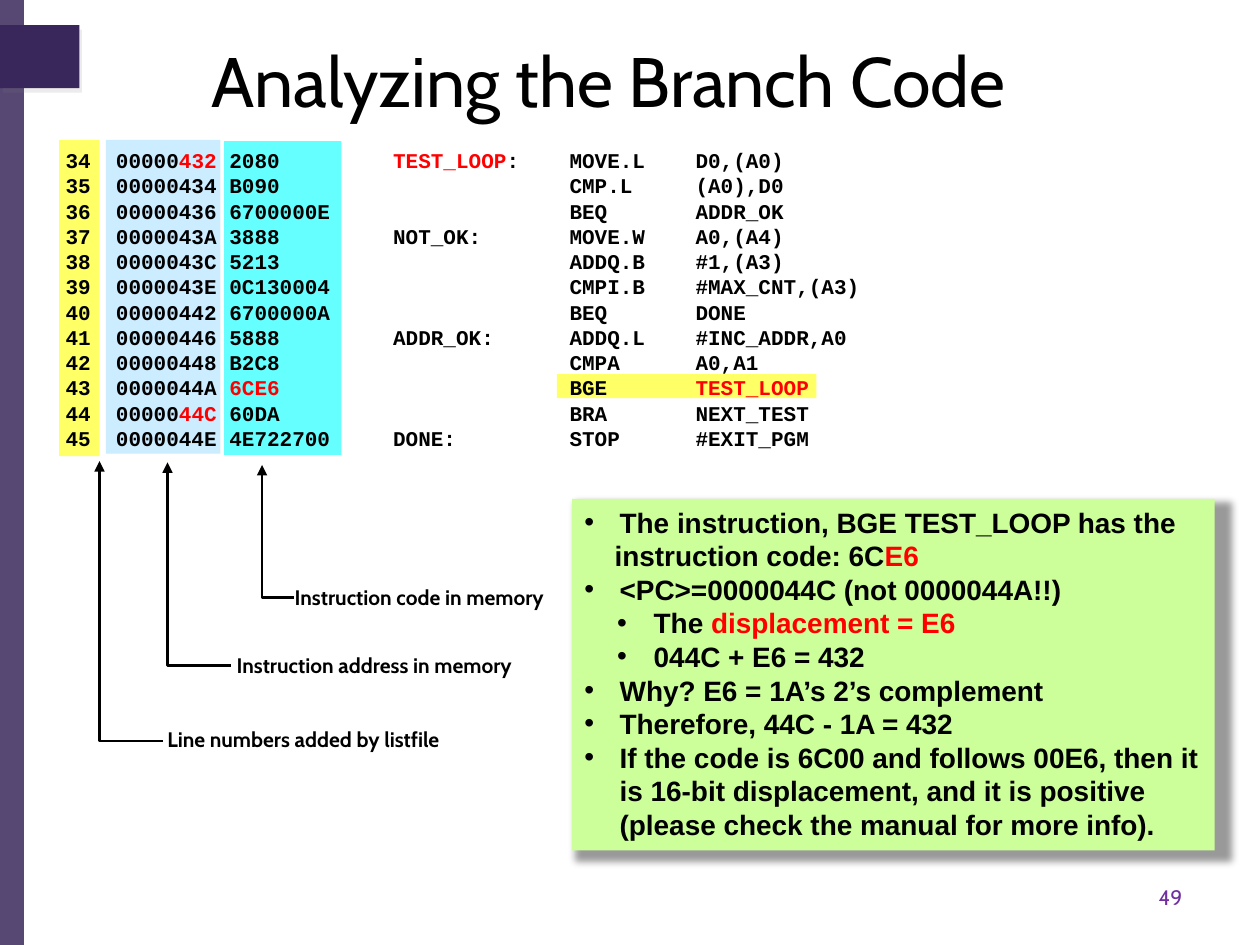
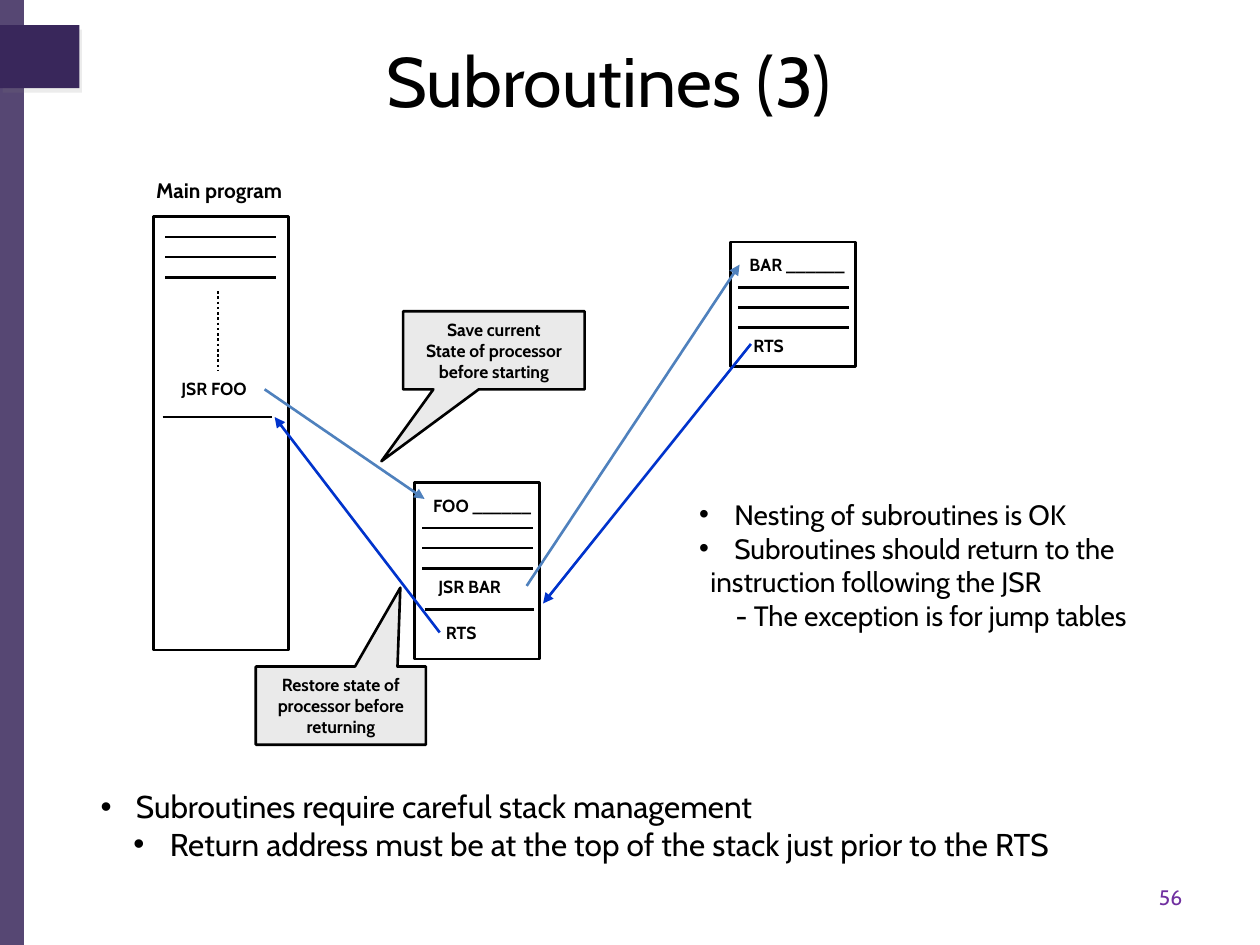
from dataclasses import dataclass
from typing import NamedTuple, Optional

from lxml.etree import SubElement
from pptx import Presentation
from pptx.dml.color import RGBColor
from pptx.enum.dml import MSO_LINE_DASH_STYLE as Dash
from pptx.enum.shapes import MSO_CONNECTOR as Connector
from pptx.enum.shapes import MSO_SHAPE as Preset
from pptx.enum.text import MSO_ANCHOR as Anchor
from pptx.enum.text import MSO_AUTO_SIZE as AutoSize
from pptx.enum.text import PP_ALIGN as Align
from pptx.oxml.ns import qn
from pptx.util import Emu, Pt

EMU_PER_PX = 9144
STROKE = Pt(1.5)
COLORS = {
    "purple": "39275B", "number": "7030A0", "black": "000000", "red": "FF0000",
    "yellow": "FFFF66", "pale blue": "CCECFF", "cyan": "66FFFF", "green": "CCFF99",
    "gray": "EAEAEA", "shadow": "808080", "call": "4F81BD", "return": "0033CC",
}


class Box(NamedTuple):
    left: int
    top: int
    width: int
    height: int


class Style(NamedTuple):
    size: int
    font: str = "Cabin"
    bold: bool = False
    color: str = "black"
    align: Align = Align.LEFT


class Shadow(NamedTuple):
    color: str
    opacity: int
    blur: int
    distance: int
    angle: int
    scale: int = 100


@dataclass(frozen=True)
class Line:
    text: str
    bullet: bool = False
    margin: int = 0
    hang: int = 0


@dataclass(frozen=True)
class Label:
    text: str
    box: Box


@dataclass(frozen=True)
class Pointer:
    tip_x: int
    tip_y: int
    depth: int
    reach: int
    label: Label


@dataclass(frozen=True)
class Stroke:
    x1: int
    y1: int
    x2: int
    y2: int
    color: str = "black"
    arrow: bool = False
    dash: Optional[Dash] = None


@dataclass(frozen=True)
class Callout:
    box: Box
    tip: tuple[float, float]
    lines: tuple[str, ...]


TITLE = Style(40, align=Align.CENTER)
NUMBER = Style(12, color="number", align=Align.CENTER)
CAPTION = Style(12, bold=True)
SMALL = Style(10, bold=True)
CALLOUT = Style(10, bold=True, align=Align.CENTER)
CODE = Style(12, "Courier New", True)
CODE_COLUMNS = (40, 90, 130, 140, 100, 155)
CODE_ROW = 20

LISTING = (
    "34\t00000|432|\t2080\t|TEST_LOOP|:\tMOVE.L\tD0,(A0)",
    "35\t00000434\tB090\t\tCMP.L\t(A0),D0",
    "36\t00000436\t6700000E\t\tBEQ\tADDR_OK",
    "37\t0000043A\t3888\tNOT_OK:\tMOVE.W\tA0,(A4)",
    "38\t0000043C\t5213\t\tADDQ.B\t#1,(A3)",
    "39\t0000043E\t0C130004\t\tCMPI.B\t#MAX_CNT,(A3)",
    "40\t00000442\t6700000A\t\tBEQ\tDONE",
    "41\t00000446\t5888\tADDR_OK:\tADDQ.L\t#INC_ADDR,A0",
    "42\t00000448\tB2C8\t\tCMPA\tA0,A1",
    "43\t0000044A\t|6CE6|\t\tBGE\t|TEST_LOOP|",
    "44\t00000|44C|\t60DA\t\tBRA\tNEXT_TEST",
    "45\t0000044E\t4E722700\tDONE:\tSTOP\t#EXIT_PGM",
)


def px(length: int) -> Emu:
    return Emu(length * EMU_PER_PX)


def rgb(name: str) -> RGBColor:
    return RGBColor.from_string(COLORS[name])


def bullet(text: str) -> Line:
    return Line(text, True, 28, 28)


def sub_bullet(text: str) -> Line:
    return Line(text, True, 55, 29)


def fill_para(para, line: Line, style: Style) -> None:
    para.alignment = style.align
    props = para._p.get_or_add_pPr()
    props.set("marL", str(px(line.margin)))
    props.set("indent", str(-px(line.hang)))
    if line.bullet:
        SubElement(props, qn("a:buFont"), typeface="Arial")
        SubElement(props, qn("a:buChar"), char="•")
    font = para.font
    font.name, font.size, font.bold = style.font, Pt(style.size), style.bold
    font.color.rgb = rgb(style.color)
    for number, part in enumerate(line.text.split("|")):
        if part:
            span = para.add_run()
            span.text = part
            if number % 2:
                span.font.color.rgb = rgb("red")
    if not line.text:
        SubElement(para._p, qn("a:endParaRPr"), sz=str(style.size * 100))


def write(shape, lines, style: Style, wrap=True, anchor=Anchor.TOP) -> None:
    frame = shape.text_frame
    frame.word_wrap = wrap
    frame.auto_size = AutoSize.NONE if wrap else AutoSize.SHAPE_TO_FIT_TEXT
    frame.vertical_anchor = anchor
    for index, line in enumerate(lines):
        para = frame.add_paragraph() if index else frame.paragraphs[0]
        fill_para(para, line, style)


def add_text(page, box: Box, lines, style: Style, **options) -> None:
    write(page.shapes.add_textbox(*map(px, box)), lines, style, **options)


def add_label(page, label: Label, style: Style) -> None:
    add_text(page, label.box, [Line(label.text)], style, wrap=False)


def add_listing(page, left: int, top: int) -> None:
    box = Box(left, top, sum(CODE_COLUMNS), CODE_ROW * len(LISTING))
    table = page.shapes.add_table(len(LISTING), len(CODE_COLUMNS), *map(px, box)).table
    table.first_row = table.horz_banding = False
    for column, width in zip(table.columns, CODE_COLUMNS):
        column.width = px(width)
    for row, source in zip(table.rows, LISTING):
        row.height = px(CODE_ROW)
        for cell, text in zip(row.cells, source.split("\t")):
            cell.margin_left = cell.margin_right = cell.margin_top = cell.margin_bottom = 0
            for side in ("lnL", "lnR", "lnT", "lnB"):
                border = SubElement(cell._tc.get_or_add_tcPr(), qn(f"a:{side}"), w="0")
                SubElement(border, qn("a:noFill"))
            cell.fill.background()
            fill_para(cell.text_frame.paragraphs[0], Line(text), CODE)


def add_block(page, box: Box, fill="", outlined=False, preset=Preset.RECTANGLE):
    shape = page.shapes.add_shape(preset, *map(px, box))
    shape.shadow.inherit = False
    if fill:
        shape.fill.solid()
        shape.fill.fore_color.rgb = rgb(fill)
    else:
        shape.fill.background()
    if outlined:
        shape.line.color.rgb = rgb("black")
        shape.line.width = STROKE
    else:
        shape.line.fill.background()
    return shape


def add_alpha(color, percent: int) -> None:
    SubElement(color, qn("a:alpha"), val=str(percent * 1000))


def cast_shadow(shape, shadow: Shadow) -> None:
    effects = shape._element.spPr.find(qn("a:effectLst"))
    scale = str(shadow.scale * 1000)
    outer = SubElement(
        effects, qn("a:outerShdw"), blurRad=str(Pt(shadow.blur)),
        dist=str(Pt(shadow.distance)), dir=str(shadow.angle * 60000),
        sx=scale, sy=scale, algn="tl", rotWithShape="0")
    add_alpha(SubElement(outer, qn("a:srgbClr"), val=COLORS[shadow.color]), shadow.opacity)


def add_arrowhead(line, end: str) -> None:
    SubElement(line._get_or_add_ln(), qn(f"a:{end}"), type="triangle")


def add_stroke(page, stroke: Stroke) -> None:
    ends = map(px, (stroke.x1, stroke.y1, stroke.x2, stroke.y2))
    connector = page.shapes.add_connector(Connector.STRAIGHT, *ends)
    connector.line.color.rgb = rgb(stroke.color)
    connector.line.width = STROKE
    if stroke.dash:
        connector.line.dash_style = stroke.dash
    if stroke.arrow:
        add_arrowhead(connector.line, "tailEnd")
    SubElement(connector._element.spPr, qn("a:effectLst"))


def add_pointer(page, pointer: Pointer) -> None:
    x, y = pointer.tip_x, pointer.tip_y
    corner = y + pointer.depth
    builder = page.shapes.build_freeform(x, y, scale=EMU_PER_PX)
    builder.add_line_segments([(x, corner), (x + pointer.reach, corner)], close=False)
    elbow = builder.convert_to_shape()
    elbow.shadow.inherit = False
    elbow.fill.background()
    elbow.line.color.rgb = rgb("black")
    elbow.line.width = STROKE
    add_arrowhead(elbow.line, "headEnd")
    add_label(page, pointer.label, CAPTION)


def add_callout(page, callout: Callout) -> None:
    shape = add_block(page, callout.box, "gray", True, Preset.RECTANGULAR_CALLOUT)
    shape.adjustments[0], shape.adjustments[1] = callout.tip
    write(shape, map(Line, callout.lines), CALLOUT, anchor=Anchor.MIDDLE)


def add_page(deck, title: str, number: int):
    page = deck.slides.add_slide(deck.slide_layouts[6])
    band = add_block(page, Box(0, 0, 19, 750), "purple")
    add_alpha(band._element.spPr.find(qn("a:solidFill"))[0], 85)
    tab = add_block(page, Box(0, 20, 63, 50), "purple")
    cast_shadow(tab, Shadow("shadow", 15, 0, 3, 60))
    add_text(page, Box(875, 697, 108, 30), [Line(str(number))], NUMBER)
    add_text(page, Box(33, 17, 900, 92), [Line(title)], TITLE, anchor=Anchor.MIDDLE)
    return page


def build_branch_page(deck) -> None:
    page = add_page(deck, "Analyzing the Branch Code", 49)
    for box, fill in (
        (Box(442, 297, 206, 19), "yellow"),
        (Box(84, 111, 91, 249), "pale blue"),
        (Box(178, 112, 93, 249), "cyan"),
        (Box(47, 111, 32, 251), "yellow"),
    ):
        add_block(page, box, fill)
    for pointer in (
        Pointer(79, 366, 222, 50, Label("Line numbers added by listfile", Box(123, 572, 260, 30))),
        Pointer(133, 367, 161, 50, Label("Instruction address in memory", Box(178, 513, 264, 30))),
        Pointer(208, 369, 105, 25, Label("Instruction code in memory", Box(224, 459, 239, 30))),
    ):
        add_pointer(page, pointer)
    note = add_block(page, Box(454, 396, 510, 279), "green")
    cast_shadow(note, Shadow("black", 40, 4, 3, 45, 102))
    write(note, (
        bullet("The instruction, BGE TEST_LOOP has the"),
        Line("instruction code: 6C|E6|", margin=24),
        bullet("<PC>=0000044C (not 0000044A!!)"),
        sub_bullet("The |displacement = E6|"),
        sub_bullet("044C + E6 = 432"),
        bullet("Why? E6 = 1A’s 2’s complement"),
        bullet("Therefore, 44C - 1A = 432"),
        bullet("If the code is 6C00 and follows 00E6, then it is 16-bit displacement, "
               "and it is positive (please check the manual for more info)."),
    ), Style(16, "Arial", True))
    add_listing(page, 52, 120)


def build_subroutine_page(deck) -> None:
    page = add_page(deck, "Subroutines (3)", 56)
    main_box, foo, bar = Box(122, 172, 107, 344), Box(329, 383, 99, 140), Box(580, 192, 99, 99)
    for routine, inset, drop in ((main_box, 9, 16), (foo, 6, 36), (bar, 6, 36)):
        add_block(page, routine, outlined=True)
        left = routine.left + inset
        for row in range(3):
            y = routine.top + drop + 16 * row
            add_stroke(page, Stroke(left, y, left + 88, y))
    add_label(page, Label("Main program", Box(114, 136, 130, 30)), CAPTION)
    for label in (
        Label("JSR FOO", Box(134, 295, 81, 27)), Label("FOO ______", Box(334, 388, 100, 27)),
        Label("JSR BAR", Box(338, 452, 81, 27)), Label("RTS", Box(344, 489, 48, 27)),
        Label("BAR ______", Box(585, 197, 100, 27)), Label("RTS", Box(588, 261, 48, 27)),
    ):
        add_label(page, label, SMALL)
    for stroke in (
        Stroke(173, 231, 173, 294, dash=Dash.ROUND_DOT),
        Stroke(129, 331, 216, 331),
        Stroke(337, 484, 424, 484),
        Stroke(210, 309, 337, 396, "call", True),
        Stroke(418, 465, 587, 210, "call", True),
        Stroke(596, 273, 431, 479, "return", True),
        Stroke(349, 502, 218, 331, "return", True),
    ):
        add_stroke(page, stroke)
    add_text(page, Box(545, 390, 391, 117), (
        bullet("Nesting of subroutines is OK"),
        bullet("Subroutines should return to the"),
        Line("instruction following the JSR", margin=9),
        Line("- The exception is for jump tables", margin=29),
    ), Style(16))
    add_text(page, Box(70, 620, 827, 70), (
        bullet("Subroutines require careful stack management"),
        sub_bullet("Return address must be at the top of the stack just prior to the RTS"),
    ), Style(18))
    save_note = ("Save current", "State of processor", "before starting")
    restore_note = ("Restore state of", "processor before", "returning")
    add_callout(page, Callout(Box(320, 247, 144, 62), (-0.62, 1.42), save_note))
    add_callout(page, Callout(Box(203, 529, 135, 62), (0.35, -1.51), restore_note))


deck = Presentation()
deck.slide_width, deck.slide_height = px(1000), px(750)
build_branch_page(deck)
build_subroutine_page(deck)
deck.save("out.pptx")
